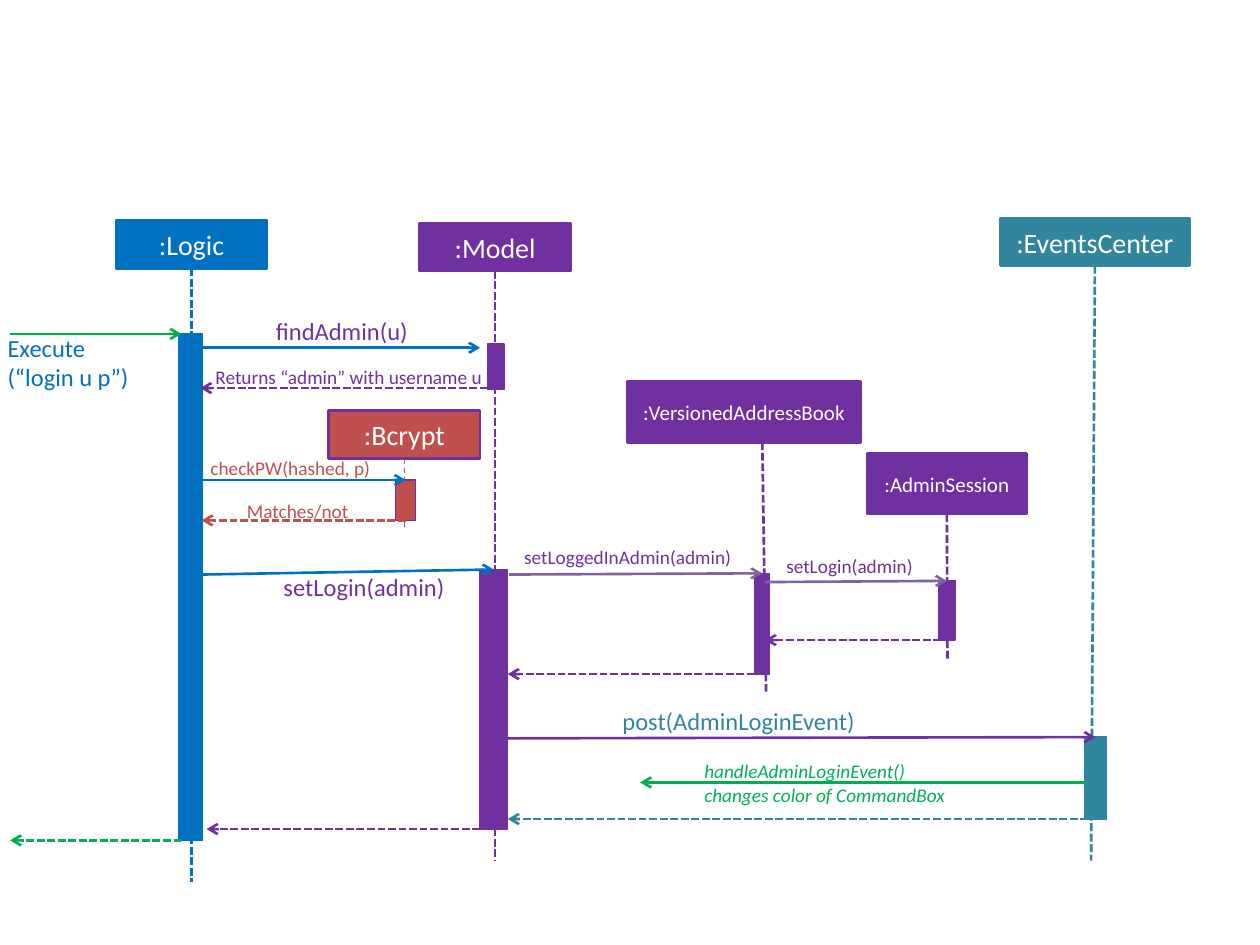
from lxml import etree
from pptx import Presentation
from pptx.dml.color import RGBColor
from pptx.enum import dml, shapes, text
from pptx.oxml import ns
from pptx.util import Inches, Pt

BLUE = RGBColor(0x00, 0x70, 0xC0)
PURPLE = RGBColor(0x70, 0x30, 0xA0)
MAUVE = RGBColor(0x80, 0x64, 0xA2)
TEAL = RGBColor(0x31, 0x85, 0x9C)
GREEN = RGBColor(0x00, 0xB0, 0x50)
RED = RGBColor(0xC0, 0x50, 0x4D)
WHITE = RGBColor(0xFF, 0xFF, 0xFF)
SYS_DASH = dml.MSO_LINE.SQUARE_DOT
BOTTOM, TOP = 2, 0


class SequenceDiagram:
    font = "Calibri"
    line_width = 1.5
    bar_line_width = 0.75

    def __init__(self, slide):
        self.slide = slide

    def rect(self, x, y, w, h, fill, line, width):
        sp = self.slide.shapes.add_shape(
            shapes.MSO_SHAPE.RECTANGLE, Inches(x), Inches(y), Inches(w), Inches(h))
        sp.shadow.inherit = False
        sp.fill.solid()
        sp.fill.fore_color.rgb = fill
        sp.line.color.rgb = line
        sp.line.width = Pt(width)
        return sp

    def run(self, p, words, size, color, italic=None):
        r = p.add_run()
        r.text = words
        r.font.name = self.font
        r.font.size = Pt(size)
        r.font.color.rgb = color
        r.font.italic = italic

    def participant(self, name, x, y, w, h, size, fill, line):
        sp = self.rect(x, y, w, h, fill, line, self.line_width)
        tf = sp.text_frame
        tf.vertical_anchor = text.MSO_ANCHOR.MIDDLE
        p = tf.paragraphs[0]
        p.alignment = text.PP_ALIGN.CENTER
        self.run(p, name, size, WHITE)
        return sp

    def activation(self, x, y, w, h, fill, line):
        return self.rect(x, y, w, h, fill, line, self.bar_line_width)

    def line(self, start, end, color, dash=None, width=line_width, arrow=False):
        c = self.slide.shapes.add_connector(
            shapes.MSO_CONNECTOR.STRAIGHT, *map(Inches, start + end))
        c.line.color.rgb = color
        c.line.width = Pt(width)
        if dash:
            c.line.dash_style = dash
        if arrow:
            etree.SubElement(c.line._get_or_add_ln(), ns.qn("a:tailEnd"), type="arrow")
        etree.SubElement(c._element.spPr, ns.qn("a:effectLst"))
        return c

    def call(self, start, end, color, target=None):
        """Solid arrow, joined to the top of the target bar if there is one."""
        c = self.line(start, end, color, arrow=True)
        if target is not None:
            c.end_connect(target, TOP)

    def reply(self, x_from, x_to, y, color):
        self.line((x_from, y), (x_to, y), color, SYS_DASH, arrow=True)

    def label(self, lines, x, y, w, h, size, color, italic=None, soft_break=False):
        sp = self.slide.shapes.add_textbox(Inches(x), Inches(y), Inches(w), Inches(h))
        tf = sp.text_frame
        tf.word_wrap = True
        tf.auto_size = text.MSO_AUTO_SIZE.SHAPE_TO_FIT_TEXT
        tf.margin_left = tf.margin_right = tf.margin_top = tf.margin_bottom = 0
        p = tf.paragraphs[0]
        for i, words in enumerate(lines):
            if i and soft_break:
                p.add_line_break()
            elif i:
                p = tf.add_paragraph()
            self.run(p, words, size, color, italic)


def main():
    prs = Presentation()
    prs.slide_width, prs.slide_height = Inches(10), Inches(7.5)
    s = SequenceDiagram(prs.slides.add_slide(prs.slide_layouts[6]))

    # name, x, y, w, h, size, fill, outline, lifeline start and end, dash, width
    participants = [
        (":Logic", 0.92, 1.75, 1.2, 0.38, 16, BLUE, BLUE,
         (1.52, 2.13), (1.52, 7), SYS_DASH, 1.5),
        (":Model", 3.33, 1.77, 1.2, 0.38, 16, PURPLE, PURPLE,
         (3.95, 2.11), (3.93, 6.83), SYS_DASH, 1.5),
        (":EventsCenter", 7.94, 1.73, 1.5, 0.38, 16, TEAL, TEAL,
         (8.69, 2.11), (8.66, 6.83), SYS_DASH, 1.5),
        (":Bcrypt", 2.61, 3.26, 1.2, 0.38, 16, RED, PURPLE,
         (3.21, 3.64), (3.21, 4.21), dml.MSO_LINE.DASH, 0.75),
        (":VersionedAddressBook", 4.98, 3.03, 1.85, 0.48, 12, PURPLE, PURPLE,
         (6.05, 3.51), (6.08, 5.49), SYS_DASH, 1.5),
        (":AdminSession", 6.88, 3.6, 1.27, 0.48, 12, PURPLE, PURPLE,
         (7.52, 4.08), (7.52, 5.24), SYS_DASH, 1.5),
    ]
    for name, x, y, w, h, size, fill, outline, start, end, dash, width in participants:
        box = s.participant(name, x, y, w, h, size, fill, outline)
        lifeline = s.line(start, end, fill, dash, width)
        if abs(x + w / 2 - start[0]) < 0.03:
            lifeline.begin_connect(box, BOTTOM)

    s.activation(1.42, 2.65, 0.19, 4.02, BLUE, BLUE)
    s.activation(3.87, 2.73, 0.13, 0.36, PURPLE, PURPLE)
    model_bar = s.activation(3.81, 4.52, 0.22, 2.06, PURPLE, PURPLE)
    bcrypt_bar = s.activation(3.14, 3.81, 0.16, 0.32, RED, PURPLE)
    book_bar = s.activation(5.99, 4.55, 0.12, 0.8, PURPLE, PURPLE)
    session_bar = s.activation(7.45, 4.61, 0.13, 0.47, PURPLE, PURPLE)
    events_bar = s.activation(8.61, 5.85, 0.17, 0.65, TEAL, TEAL)

    s.call((0.08, 2.65), (1.44, 2.65), GREEN)
    s.call((1.59, 2.76), (3.81, 2.76), BLUE)
    s.call((1.55, 3.81), (3.22, 3.81), BLUE, bcrypt_bar)
    s.call((1.6, 4.56), (3.92, 4.52), BLUE, model_bar)
    s.call((4.04, 4.56), (6.05, 4.55), MAUVE, book_bar)
    s.call((6.07, 4.62), (7.53, 4.61), MAUVE, session_bar)
    s.call((4.03, 5.86), (8.7, 5.85), PURPLE, events_bar)
    s.call((8.61, 6.21), (5.08, 6.21), GREEN)

    for x_from, x_to, y, color in [
        (3.87, 1.59, 3.08, PURPLE),
        (3.22, 1.6, 4.13, RED),
        (7.47, 6.07, 5.08, PURPLE),
        (5.99, 4.03, 5.35, PURPLE),
        (8.72, 4.03, 6.5, TEAL),
        (3.81, 1.64, 6.58, PURPLE),
        (1.44, 0.08, 6.67, GREEN),
    ]:
        s.reply(x_from, x_to, y, color)

    s.label(["Execute", "(“login u p”)"], 0.06, 2.64, 1.68, 0.47, 14, BLUE)
    for words, x, y, w, size, color in [
        ("findAdmin(u)", 2.25 - 0.06, 2.51, 1.65, 14, PURPLE),
        ("Returns “admin” with username u", 1.71, 2.9, 2.27, 11, PURPLE),
        ("checkPW(hashed, p)", 1.67, 3.62, 1.61, 11, RED),
        ("Matches/not", 1.96, 3.96, 1.07, 11, RED),
        ("setLogin(admin)", 2.25, 4.54, 1.56, 14, PURPLE),
        ("setLoggedInAdmin(admin)", 4.16, 4.33, 1.65, 11, PURPLE),
        ("setLogin(admin)", 6.24, 4.4, 1.65, 11, PURPLE),
        ("post(AdminLoginEvent)", 4.94, 5.6, 2.67, 14, TEAL),
    ]:
        s.label([words], x, y, w, 0.24 if size == 14 else 0.19, size, color)
    s.label(["handleAdminLoginEvent()", "changes color of CommandBox"],
            5.59, 6.03, 2.67, 0.37, 11, GREEN, italic=True, soft_break=True)

    prs.save("out.pptx")


if __name__ == "__main__":
    main()
